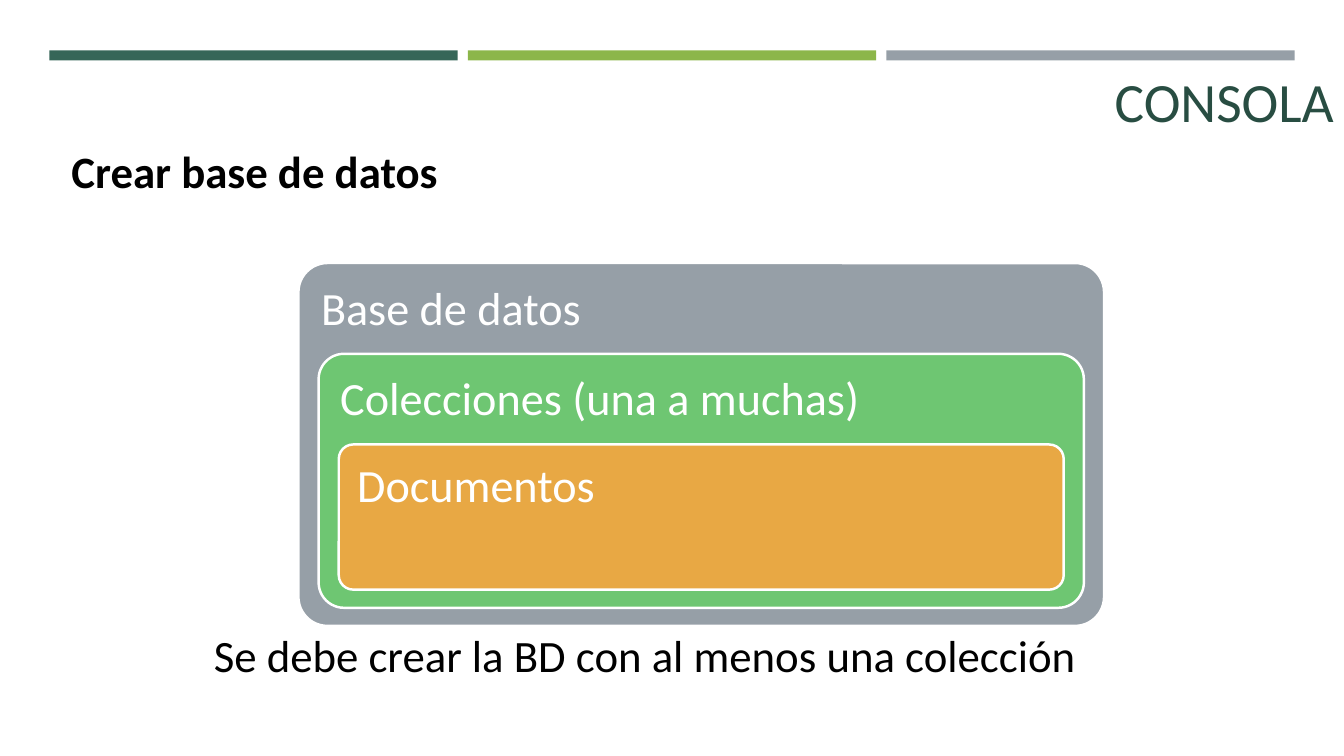
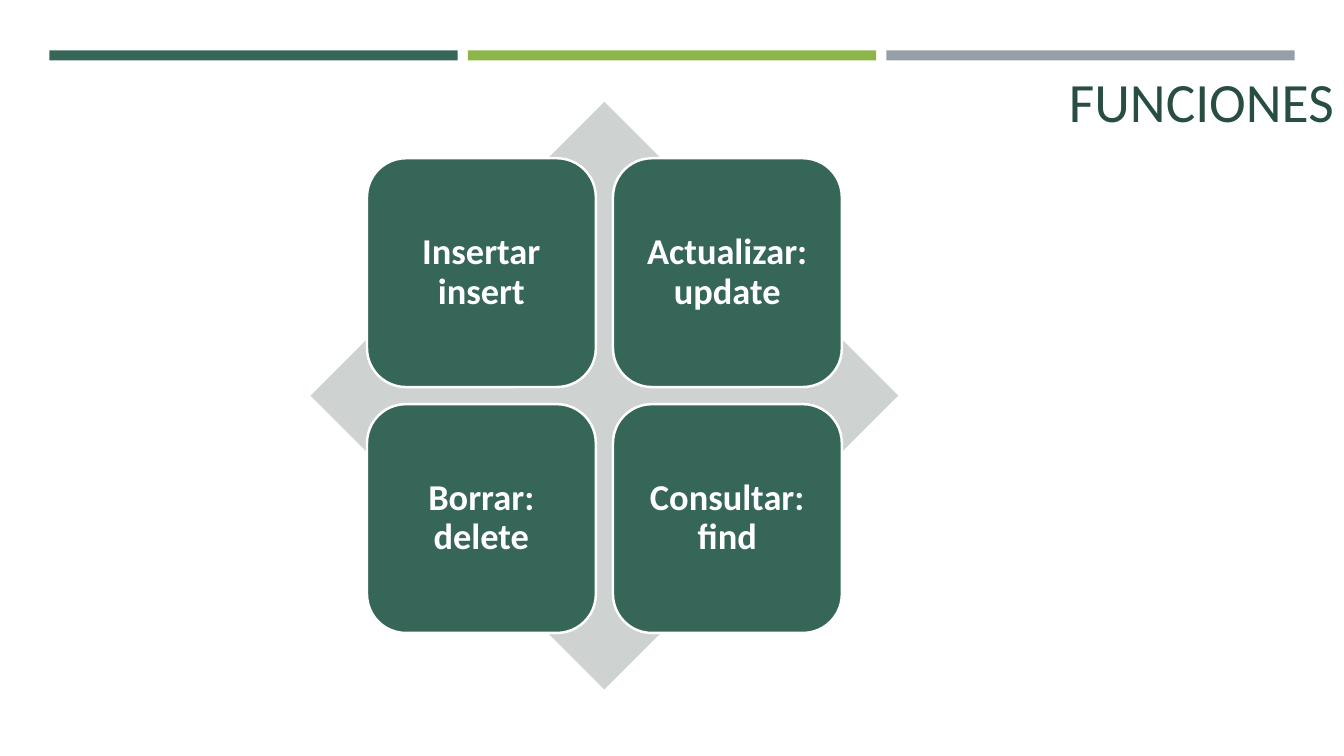
from dataclasses import dataclass
from itertools import product

from pptx import Presentation
from pptx.dml.color import RGBColor
from pptx.enum.shapes import MSO_SHAPE
from pptx.enum.text import MSO_ANCHOR, MSO_AUTO_SIZE, PP_ALIGN
from pptx.util import Inches, Pt


@dataclass(frozen=True)
class Theme:
    font: str = "Calibri"
    pine: str = "366658"
    lime: str = "8CB64A"
    slate: str = "969FA7"
    green: str = "6EC672"
    amber: str = "E8A844"
    mist: str = "CED3D1"
    heading: str = "284D42"
    black: str = "000000"
    white: str = "FFFFFF"
    title_size: float = 39.6
    body_size: float = 32
    nested_size: float = 33
    tile_size: float = 26
    outline: float = 1.75


class Deck:
    """Holds the theme, the presentation and the current page."""

    def __init__(self, theme):
        self.theme = theme
        self.presentation = Presentation()
        self.presentation.slide_width = Inches(13.33)
        self.presentation.slide_height = Inches(7.5)
        self.layout = self.presentation.slide_layouts[5]
        self.page = None
        title = self.layout.placeholders[0]
        title.left, title.top = Inches(5.56), Inches(0.66)
        title.width, title.height = Inches(7.77), Inches(0.72)
        title.text_frame.vertical_anchor = MSO_ANCHOR.BOTTOM

    def add_page(self, title):
        self.page = self.presentation.slides.add_slide(self.layout)
        if len(self.presentation.slides) == 1:
            self.add_bands()
        frame = self.page.shapes.title.text_frame
        frame.auto_size = MSO_AUTO_SIZE.NONE
        self.add_text(frame.paragraphs[0], title, self.theme.title_size,
                      self.theme.heading, PP_ALIGN.RIGHT)

    def add_bands(self):
        colors = (self.theme.pine, self.theme.lime, self.theme.slate)
        for index, color in enumerate(colors):
            band = self.add_shape(MSO_SHAPE.RECTANGLE, 0.49 + 4.15 * index, 0.5,
                                  4.05, 0.1, color)
            band.element.nvSpPr.cNvPr.id = 20 + index
            self.layout.shapes.element.append(band.element)

    def add_text(self, para, text, size, color, align, bold=False):
        para.alignment = align
        span = para.add_run()
        span.text = text
        span.font.name = self.theme.font
        span.font.size = Pt(size)
        span.font.bold = bold
        span.font.color.rgb = RGBColor.from_string(color)

    def add_shape(self, kind, left, top, width, height, color, outlined=False):
        shape = self.page.shapes.add_shape(
            kind, Inches(left), Inches(top), Inches(width), Inches(height))
        shape.shadow.inherit = False
        shape.fill.solid()
        shape.fill.fore_color.rgb = RGBColor.from_string(color)
        if outlined:
            shape.line.color.rgb = RGBColor.from_string(self.theme.white)
            shape.line.width = Pt(self.theme.outline)
        else:
            shape.line.fill.background()
        return shape

    def add_card(self, left, top, width, height, color, text, size, inset,
                 corner=0.17, anchor=MSO_ANCHOR.TOP, align=PP_ALIGN.LEFT, bold=False):
        card = self.add_shape(MSO_SHAPE.ROUNDED_RECTANGLE, left, top, width, height,
                              color, outlined=True)
        card.adjustments[0] = corner
        frame = card.text_frame
        frame.word_wrap = True
        frame.vertical_anchor = anchor
        frame.margin_left = frame.margin_right = Inches(inset)
        frame.margin_top = frame.margin_bottom = Inches(inset)
        para = frame.paragraphs[0]
        para.line_spacing = 0.9
        self.add_text(para, text, size, self.theme.white, align, bold)

    def add_body(self, heading, closing, gap):
        box = self.page.shapes.add_textbox(
            Inches(0.61), Inches(1.38), Inches(11.58), Inches(6.02))
        frame = box.text_frame
        frame.word_wrap = True
        self.add_text(frame.paragraphs[0], heading, self.theme.body_size,
                      self.theme.black, PP_ALIGN.JUSTIFY, bold=True)
        para = frame.add_paragraph()
        para.space_before = Pt(gap)
        self.add_text(para, closing, self.theme.body_size, self.theme.black,
                      PP_ALIGN.CENTER)


def build_console(deck):
    theme = deck.theme
    deck.add_page("CONSOLA")
    deck.add_body("Crear base de datos",
                  "Se debe crear la BD con al menos una colección", gap=307)
    levels = (
        ("Base de datos", theme.slate, 0.08),
        ("Colecciones (una a muchas)", theme.green, 0.1),
        ("Documentos", theme.amber, 0.1),
    )
    for depth, (text, color, corner) in enumerate(levels):
        deck.add_card(2.96 + 0.2 * depth, 2.61 + 0.9 * depth,
                      7.99 - 0.4 * depth, 3.6 - 1.08 * depth,
                      color, text, theme.nested_size, inset=0.14, corner=corner)


def build_functions(deck):
    theme = deck.theme
    deck.add_page("FUNCIONES")
    deck.add_shape(MSO_SHAPE.DIAMOND, 3.08, 1.01, 5.83, 5.83, theme.mist)
    labels = ("Insertar insert", "Actualizar: update", "Borrar: delete",
              "Consultar: find")
    for (row, column), text in zip(product(range(2), repeat=2), labels):
        deck.add_card(3.64 + 2.44 * column, 1.57 + 2.44 * row, 2.27, 2.27,
                      theme.pine, text, theme.tile_size, inset=0.11,
                      anchor=MSO_ANCHOR.MIDDLE, align=PP_ALIGN.CENTER, bold=True)


def main():
    deck = Deck(Theme())
    build_console(deck)
    build_functions(deck)
    deck.presentation.save("out.pptx")


if __name__ == "__main__":
    main()
